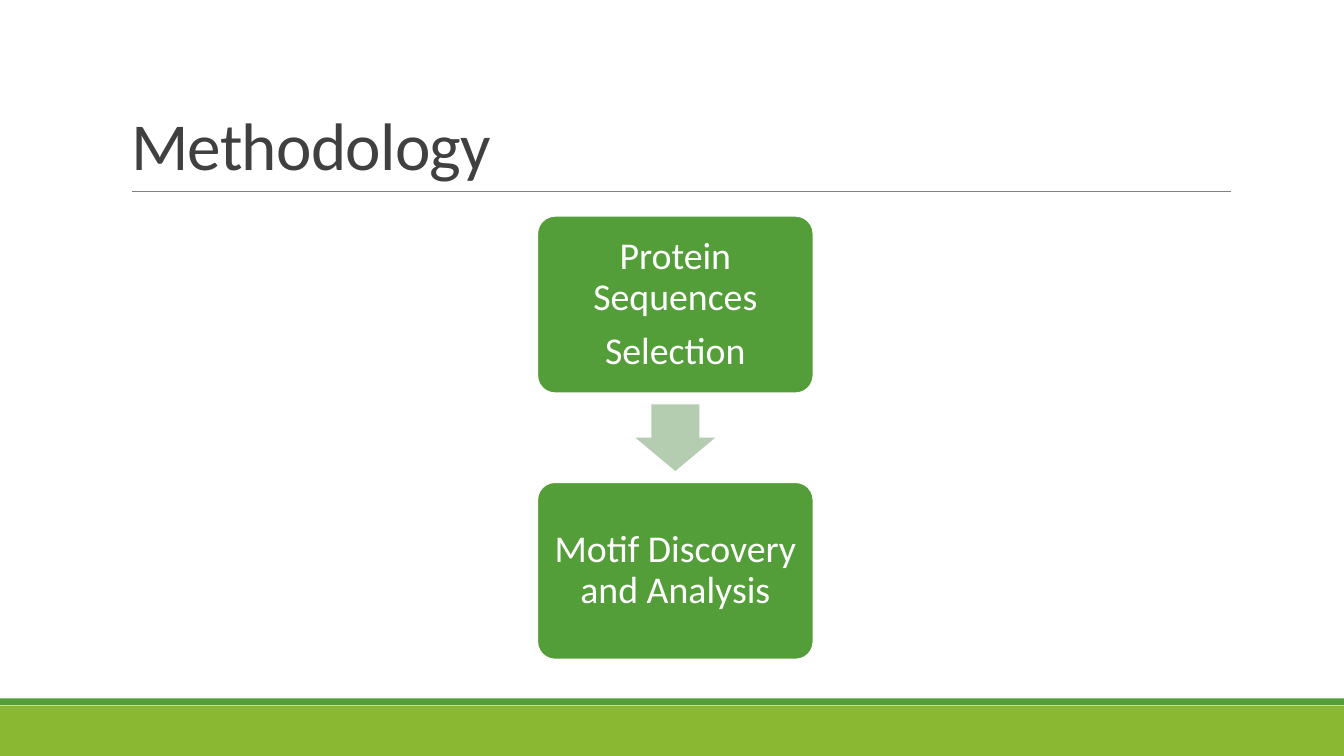
import dataclasses

import pptx
import pptx.dml.color
import pptx.enum.shapes
import pptx.enum.text
import pptx.oxml
import pptx.oxml.ns
import pptx.util

Cm = pptx.util.Cm
Pt = pptx.util.Pt
SHAPES = pptx.enum.shapes.MSO_SHAPE
ALIGN = pptx.enum.text.PP_ALIGN
ANCHOR = pptx.enum.text.MSO_ANCHOR

PAGE_WIDTH, PAGE_HEIGHT = 33.87, 19.05
STEP_LEFT, STEP_TOP = 13.54, 5.44
STEP_WIDTH, STEP_HEIGHT, STEP_GAP = 6.96, 4.47, 2.24
ARROW_WIDTH, ARROW_HEIGHT = 2.01, 1.68
STEPS = [["Protein Sequences", "Selection"], ["Motif Discovery and Analysis"]]


@dataclasses.dataclass(frozen=True)
class Theme:
    """Colours, font and type sizes of the slide."""
    font: str = "Calibri"
    title_size: int = 48
    step_size: int = 27
    title: str = "404040"
    rule: str = "808080"
    green: str = "549E39"
    lime: str = "8AB833"
    arrow: str = "B4CCAF"
    white: str = "FFFFFF"


THEME = Theme()


def colour(code):
    """Turn a hex code into a colour."""
    return pptx.dml.color.RGBColor.from_string(code)


def apply_format(target, values):
    """Set the attributes of target from a dict."""
    for name, value in values.items():
        setattr(target, name, value)


def add_block(page, kind, left, top, width, height, fill, outline=None):
    """Add a filled preset shape, measured in centimetres."""
    block = page.shapes.add_shape(kind, Cm(left), Cm(top), Cm(width), Cm(height))
    block.shadow.inherit = False
    block.fill.solid()
    block.fill.fore_color.rgb = colour(fill)
    if outline:
        block.line.color.rgb = colour(outline)
        block.line.width = Pt(1.25)
    else:
        block.line.fill.background()
    return block


def write_paragraphs(frame, lines, size, ink, para_format):
    """Fill a text frame with one paragraph for each line."""
    for index, line in enumerate(lines):
        para = frame.add_paragraph() if index else frame.paragraphs[0]
        apply_format(para, para_format)
        span = para.add_run()
        span.text = line
        apply_format(span.font, {"name": THEME.font, "size": Pt(size)})
        span.font.color.rgb = colour(ink)


def set_title(page, text):
    """Place and format the title placeholder."""
    title = page.shapes.title
    apply_format(title, {"left": Cm(3.05), "top": Cm(0.74),
                         "width": Cm(27.94), "height": Cm(4.04)})
    frame = title.text_frame
    apply_format(frame, {"vertical_anchor": ANCHOR.BOTTOM, "word_wrap": True,
                         "auto_size": pptx.enum.text.MSO_AUTO_SIZE.NONE})
    write_paragraphs(frame, [text], THEME.title_size, THEME.title,
                     {"alignment": ALIGN.LEFT, "line_spacing": 0.85})
    frame.paragraphs[0].runs[0].font._element.set("spc", "-50")


def add_rule(page, left, right, height):
    """Draw the thin line under the title."""
    rule = page.shapes.add_connector(pptx.enum.shapes.MSO_CONNECTOR.STRAIGHT,
                                     Cm(left), Cm(height), Cm(right), Cm(height))
    rule.line.color.rgb = colour(THEME.rule)
    rule.line.width = Pt(0.5)
    rule._element.spPr.append(
        pptx.oxml.parse_xml("<a:effectLst %s/>" % pptx.oxml.ns.nsdecls("a")))


def add_step(page, top, lines):
    """Add one rounded box of the process."""
    box = add_block(page, SHAPES.ROUNDED_RECTANGLE, STEP_LEFT, top,
                    STEP_WIDTH, STEP_HEIGHT, THEME.green, THEME.white)
    box.adjustments[0] = 0.1
    sides = ("left", "right", "top", "bottom")
    apply_format(box.text_frame, {"margin_" + side: Cm(0.27) for side in sides})
    apply_format(box.text_frame, {"word_wrap": True, "vertical_anchor": ANCHOR.MIDDLE})
    write_paragraphs(box.text_frame, lines, THEME.step_size, THEME.white,
                     {"alignment": ALIGN.CENTER, "line_spacing": 0.9,
                      "space_after": Pt(9.45)})


def add_arrow(page, gap_top):
    """Centre a down arrow in the gap below a step."""
    arrow = add_block(page, SHAPES.DOWN_ARROW,
                      STEP_LEFT + (STEP_WIDTH - ARROW_WIDTH) / 2,
                      gap_top + (STEP_GAP - ARROW_HEIGHT) / 2,
                      ARROW_WIDTH, ARROW_HEIGHT, THEME.arrow)
    arrow.adjustments[0] = 0.6
    arrow.adjustments[1] = 0.5


def main():
    """Build the slide and save it."""
    deck = pptx.Presentation()
    apply_format(deck, {"slide_width": Cm(PAGE_WIDTH), "slide_height": Cm(PAGE_HEIGHT)})
    page = deck.slides.add_slide(deck.slide_layouts.get_by_name("Title Only"))
    add_block(page, SHAPES.RECTANGLE, 0, 17.78, PAGE_WIDTH, 1.27, THEME.lime)
    add_block(page, SHAPES.RECTANGLE, 0, 17.6, PAGE_WIDTH, 0.17, THEME.green)
    add_rule(page, 3.33, 31.01, 4.83)
    set_title(page, "Methodology")
    for index, lines in enumerate(STEPS):
        top = STEP_TOP + index * (STEP_HEIGHT + STEP_GAP)
        if index:
            add_arrow(page, top - STEP_GAP)
        add_step(page, top, lines)
    deck.save("out.pptx")


main()
